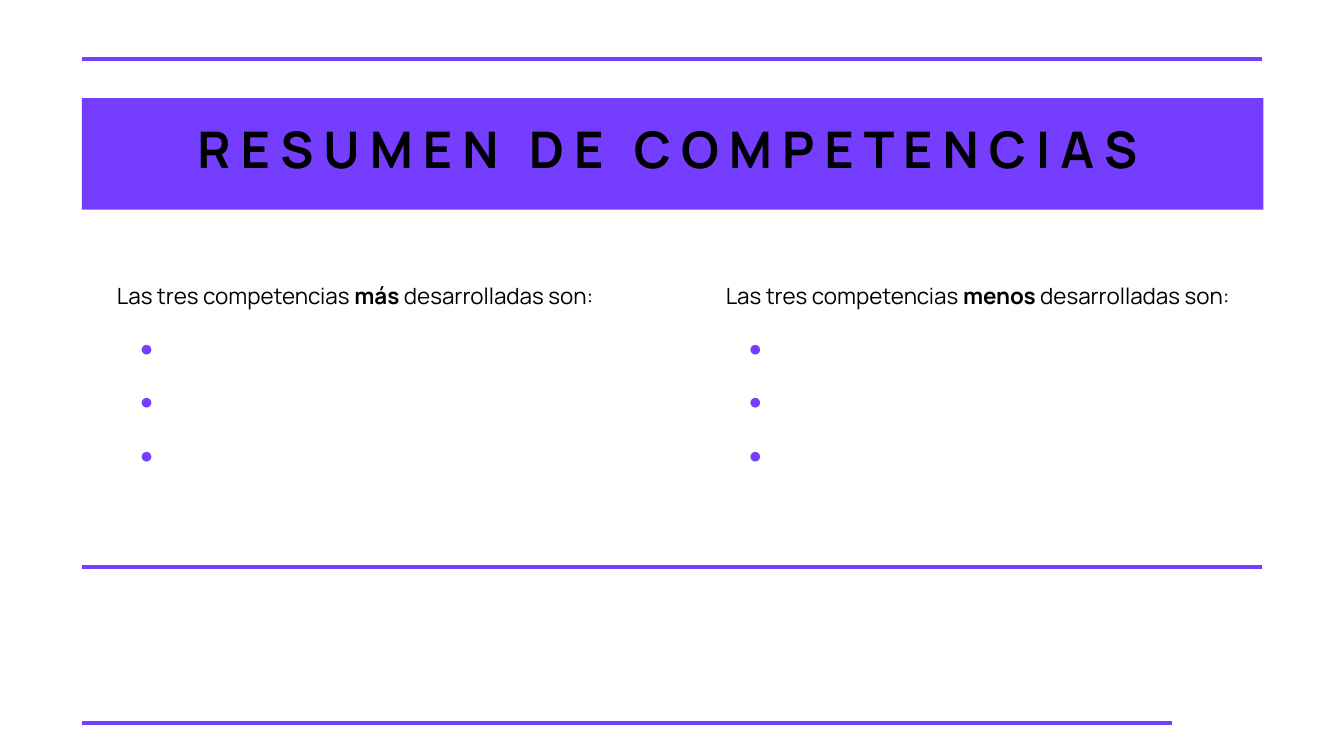
from pptx import Presentation
from pptx.dml.color import RGBColor
from pptx.enum.shapes import MSO_CONNECTOR as Connector, MSO_SHAPE as Shape
from pptx.enum.text import MSO_ANCHOR as Anchor, MSO_AUTO_SIZE as AutoSize, PP_ALIGN as Align
from pptx.oxml.ns import qn
from pptx.util import Inches, Pt
from lxml.etree import SubElement


def color(value):
    return RGBColor.from_string(value)


class CompetencySlide:
    """Holds the style and the current slide, and draws each kind of element."""

    FONT, ACCENT, INK = "Manrope", "753EFF", "000000"

    def __init__(self, deck):
        self.slide = deck.slides.add_slide(deck.slide_layouts[3])

    def rule(self, y, right=9.39, left=0.61):
        rule = self.slide.shapes.add_connector(
            Connector.STRAIGHT, Inches(left), Inches(y), Inches(right), Inches(y))
        rule.line.color.rgb = color(self.ACCENT)
        rule.line.width = Pt(2.25)
        SubElement(rule.element.spPr, qn("a:effectLst"))

    def band(self, *box):
        band = self.slide.shapes.add_shape(Shape.RECTANGLE, *map(Inches, box))
        band.shadow.inherit = False
        band.fill.solid()
        band.fill.fore_color.rgb = color(self.ACCENT)
        band.line.fill.background()

    def place(self, holder, box):
        holder.left, holder.top, holder.width, holder.height = map(Inches, box)
        frame = holder.text_frame
        frame.margin_left = frame.margin_right = Inches(0.1)
        frame.margin_top = frame.margin_bottom = Inches(0.1)
        frame.vertical_anchor = Anchor.TOP
        frame.word_wrap = True
        frame.auto_size = AutoSize.SHAPE_TO_FIT_TEXT
        return frame

    def style(self, paragraph, size, bold=None):
        font = paragraph.font
        font.name, font.size, font.bold = self.FONT, Pt(size), bold
        font.color.rgb = color(self.INK)

    def title(self, text, *box):
        title = self.slide.shapes.title
        title.element.getparent().append(title.element)
        heading = self.place(title, box).paragraphs[0]
        heading.text = text
        heading.alignment = Align.CENTER
        self.style(heading, 27, True)

    def bullet(self, paragraph):
        properties = paragraph._p.get_or_add_pPr()
        properties.set("marL", str(Inches(0.5)))
        properties.set("indent", str(Inches(-0.33)))
        bullet_color = SubElement(properties, qn("a:buClr"))
        SubElement(bullet_color, qn("a:srgbClr"), val=self.ACCENT)
        SubElement(properties, qn("a:buChar"), char="●")

    def competencies(self, index, degree, *box):
        holder = self.slide.placeholders[index]
        holder.element.getparent().append(holder.element)
        frame = self.place(holder, box)
        intro = frame.paragraphs[0]
        properties = intro._p.get_or_add_pPr()
        properties.set("marL", "0")
        properties.set("indent", "0")
        SubElement(properties, qn("a:buNone"))
        for text in ("Las tres competencias ", degree, " desarrolladas son:"):
            run = intro.add_run()
            run.text = text
            run.font.bold = text == degree
        for _ in range(3):
            competency = frame.add_paragraph()
            competency.text = " "
            self.bullet(competency)
        for paragraph in frame.paragraphs:
            paragraph.line_spacing = 1.15
            paragraph.space_before = Pt(0 if paragraph._p is intro._p else 12)
            self.style(paragraph, 12)


def main():
    deck = Presentation()
    deck.slide_width, deck.slide_height = Inches(10), Inches(10) * 9 // 16
    summary = CompetencySlide(deck)
    summary.rule(0.44)
    summary.band(0.61, 0.73, 8.79, 0.83)
    summary.title(" ".join("RESUMEN DE COMPETENCIAS") + " ", 0.72, 0.78, 8.57, 0.66)
    for index, degree, left in ((1, "más", 0.77), (2, "menos", 5.3)):
        summary.competencies(index, degree, left, 1.97, 3.99, 1.65)
    summary.rule(4.22)
    summary.rule(5.38, right=8.72)
    deck.save("out.pptx")


if __name__ == "__main__":
    main()
